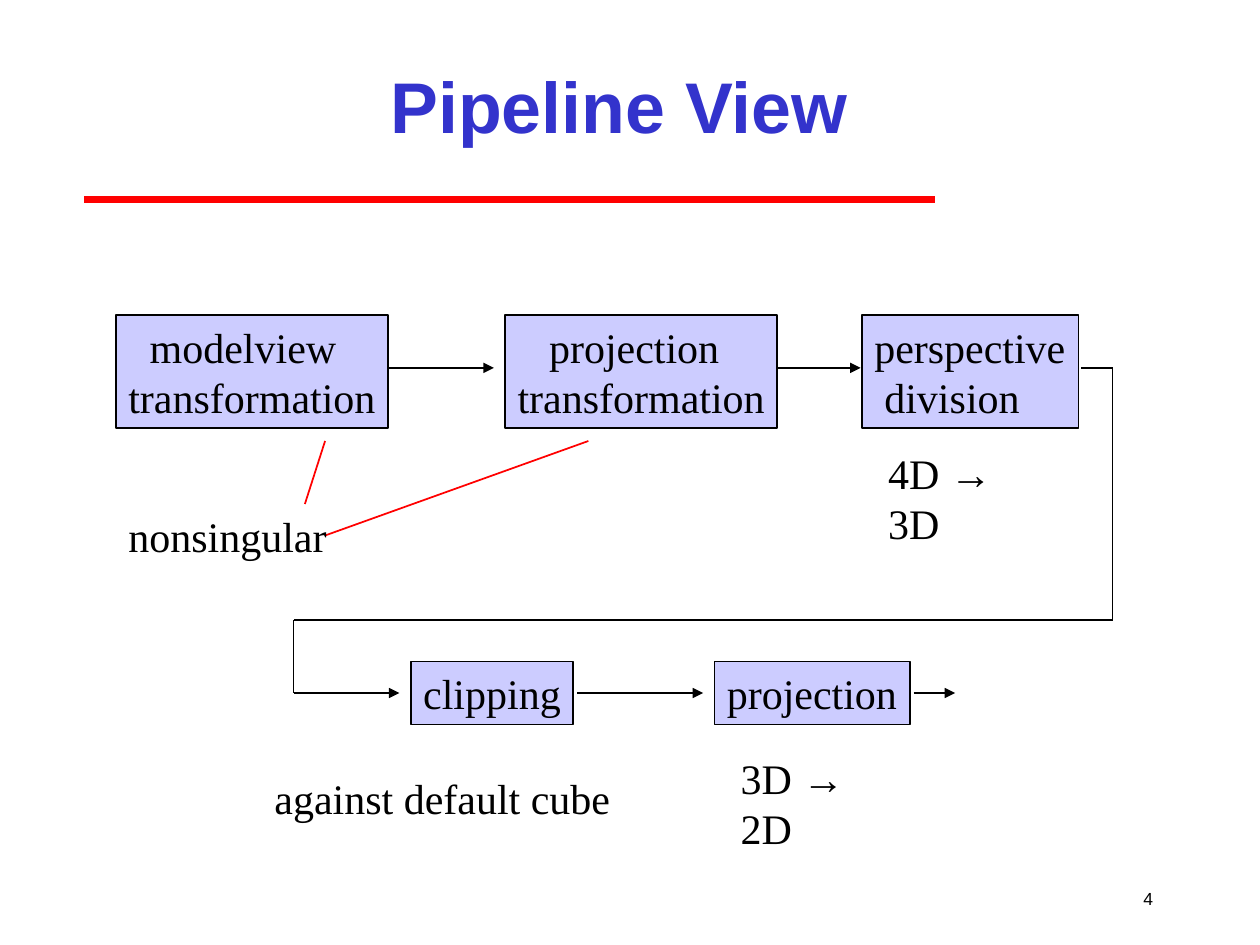
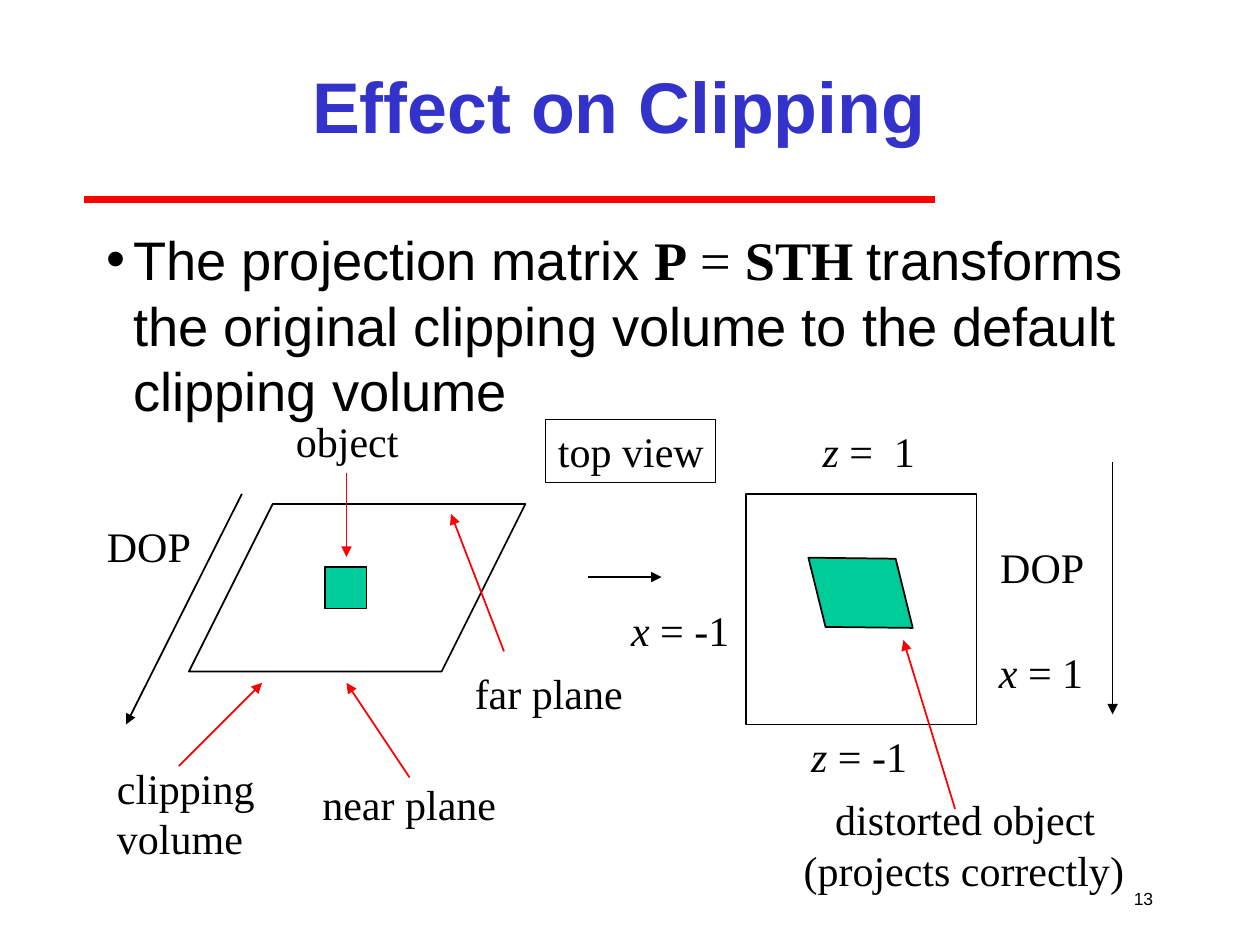
from lxml import etree
from pptx import Presentation
from pptx.dml.color import RGBColor
from pptx.enum import shapes, text
from pptx.oxml.ns import qn
from pptx.util import Inches, Pt

BLACK = RGBColor(0x00, 0x00, 0x00)
RED = RGBColor(0xFF, 0x00, 0x00)
TITLE_BLUE = RGBColor(0x33, 0x33, 0xCC)
STAGE_LILAC = RGBColor(0xCC, 0xCC, 0xFF)
OBJECT_GREEN = RGBColor(0x00, 0xCC, 0x99)
SANS = "Arial"
SERIF = "Times New Roman"
RECTANGLE = shapes.MSO_SHAPE.RECTANGLE
PARALLELOGRAM = shapes.MSO_SHAPE.PARALLELOGRAM
LINE_HEIGHT = 0.4
TEXT_PADDING = 0.1


class Deck:
    """Holds the shared style and the slide being drawn."""

    def __init__(self):
        self.presentation = Presentation()
        self.presentation.slide_width = Inches(10)
        self.presentation.slide_height = Inches(7.5)
        self.slide = None

    def new_slide(self, title, number):
        self.slide = self.presentation.slides.add_slide(self.presentation.slide_layouts[6])
        self.line((0.67, 1.58), (7.42, 1.58), RED, width=4)
        self.framed_text(8.83, 6.92, 0.42, 0.42, number, 10, text.PP_ALIGN.RIGHT)
        heading = self.framed_text(1.5, 0.25, 6.83, 1.17, title, 41, text.PP_ALIGN.CENTER)
        heading.font.bold = True
        heading.font.color.rgb = TITLE_BLUE

    def style_run(self, run, size=24, font=SERIF, bold=False, italic=False):
        run.font.size = Pt(size)
        run.font.name = font
        run.font.bold = bold
        run.font.italic = italic
        run.font.color.rgb = BLACK

    def framed_text(self, left, top, width, height, words, size, alignment):
        """Add one sans line centred vertically in its frame; return its run."""
        frame = self.text_box(left, top, width, height)
        frame.vertical_anchor = text.MSO_ANCHOR.MIDDLE
        frame.text = words
        paragraph = frame.paragraphs[0]
        paragraph.alignment = alignment
        self.style_run(paragraph.runs[0], size, SANS)
        return paragraph.runs[0]

    def text_box(self, left, top, width, height):
        box = self.slide.shapes.add_textbox(Inches(left), Inches(top), Inches(width), Inches(height))
        box.text_frame.word_wrap = True
        return box.text_frame

    def keep_lines_whole(self, frame):
        """Give up the right margin so that a tight frame breaks no line."""
        frame.word_wrap = False
        frame.margin_right = 0

    def write_lines(self, frame, lines, indents=()):
        """Write left-aligned serif lines, each with an optional indent in inches."""
        self.keep_lines_whole(frame)
        frame.vertical_anchor = text.MSO_ANCHOR.TOP
        frame.text = "\n".join(lines)
        for paragraph in frame.paragraphs:
            paragraph.alignment = text.PP_ALIGN.LEFT
            self.style_run(paragraph.runs[0])
        for paragraph, indent in zip(frame.paragraphs, indents):
            paragraph._p.get_or_add_pPr().set("marL", str(Inches(indent)))

    def label(self, left, top, width, *lines, indents=()):
        frame = self.text_box(left, top, width, TEXT_PADDING + LINE_HEIGHT * len(lines))
        self.write_lines(frame, lines, indents)

    def rich_label(self, left, top, width, *parts):
        """Add a label from (words, run style) parts."""
        frame = self.text_box(left, top, width, TEXT_PADDING + LINE_HEIGHT)
        self.add_runs(frame.paragraphs[0], parts)
        return frame

    def add_runs(self, paragraph, parts):
        for words, style in parts:
            run = paragraph.add_run()
            run.text = words
            self.style_run(run, **style)

    def equation(self, left, top, width, variable, value):
        frame = self.rich_label(left, top, width, (variable, {"italic": True}), (value, {}))
        self.keep_lines_whole(frame)

    def dimension_change(self, left, top, before, after):
        self.rich_label(left, top, 1.3, (f"{before} ", {}), ("→", {"font": SANS}), (f" {after}", {}))

    def bullet(self, left, top, width, height, parts):
        paragraph = self.text_box(left, top, width, height).paragraphs[0]
        paragraph.space_before = Pt(7.7)
        properties = paragraph._p.get_or_add_pPr()
        properties.set("marL", str(Inches(0.21)))
        properties.set("indent", str(-Inches(0.21)))
        etree.SubElement(properties, qn("a:buFont"), typeface=SANS)
        etree.SubElement(properties, qn("a:buChar"), char="•")
        self.add_runs(paragraph, parts)

    def outline(self, kind, left, top, width, height, fill=None, skew=None, rotation=0):
        shape = self.slide.shapes.add_shape(
            kind, Inches(left), Inches(top), Inches(width), Inches(height))
        shape.shadow.inherit = False
        shape.line.color.rgb = BLACK
        shape.line.width = Pt(1)
        shape.rotation = rotation
        if fill is None:
            shape.fill.background()
        else:
            shape.fill.solid()
            shape.fill.fore_color.rgb = fill
        if skew is not None:
            shape.adjustments[0] = skew
        return shape

    def text_rectangle(self, left, top, width, *lines, fill=None, indents=()):
        height = TEXT_PADDING + LINE_HEIGHT * len(lines)
        shape = self.outline(RECTANGLE, left, top, width, height, fill)
        self.write_lines(shape.text_frame, lines, indents)

    def line(self, start, end, color=BLACK, width=1, arrow=False):
        connector = self.slide.shapes.add_connector(
            shapes.MSO_CONNECTOR.STRAIGHT, *(Inches(value) for value in (*start, *end)))
        connector.line.color.rgb = color
        connector.line.width = Pt(width)
        if arrow:
            etree.SubElement(connector.line._get_or_add_ln(), qn("a:tailEnd"), type="triangle")
        etree.SubElement(connector._element.spPr, qn("a:effectLst"))

    def arrow(self, start, end, color=BLACK):
        self.line(start, end, color, arrow=True)

    def path_arrow(self, points):
        """Draw joined segments with an arrowhead on the last."""
        segments = list(zip(points, points[1:]))
        for start, end in segments[:-1]:
            self.line(start, end)
        self.arrow(*segments[-1])


def draw_pipeline(deck):
    deck.new_slide("Pipeline View", "4")
    stages = [
        (0.92, 2.5, 2.16, ("modelview", "transformation"), (0.17, 0)),
        (4.01, 2.5, 2.16, ("projection", "transformation"), (0.25, 0)),
        (6.84, 2.5, 1.72, ("perspective", "division"), (0, 0.08)),
        (3.26, 5.25, 1.29, ("clipping",), ()),
        (5.67, 5.25, 1.55, ("projection",), ()),
    ]
    for left, top, width, lines, indents in stages:
        deck.text_rectangle(left, top, width, *lines, fill=STAGE_LILAC, indents=indents)

    upper_row, lower_row = 2.92, 5.5
    for y, start, end in [(upper_row, 3.08, 3.92), (upper_row, 6.17, 6.83),
                          (lower_row, 4.58, 5.58), (lower_row, 7.25, 7.58)]:
        deck.arrow((start, y), (end, y))
    deck.path_arrow([(8.58, upper_row), (8.83, upper_row), (8.83, 4.92),
                     (2.33, 4.92), (2.33, lower_row), (3.17, lower_row)])

    deck.line((4.67, 3.5), (2.58, 4.25), RED)
    deck.line((2.58, 3.5), (2.42, 4), RED)
    deck.label(0.92, 4, 1.77, "nonsingular")
    deck.label(2.08, 6.08, 2.86, "against default cube")
    deck.dimension_change(6.95, 3.5, "4D", "3D")
    deck.dimension_change(5.78, 5.92, "3D", "2D")


def draw_clipping(deck):
    deck.new_slide("Effect on Clipping", "13")
    plain = {"size": 31, "font": SANS}
    symbol = {"size": 31, "bold": True}
    deck.bullet(0.75, 1.75, 8.5, 5.17, [
        ("The projection matrix ", plain),
        ("P", symbol),
        (" = ", {"size": 31}),
        ("STH ", symbol),
        ("transforms the original clipping volume to the default clipping volume", plain),
    ])

    deck.outline(PARALLELOGRAM, 1.5, 4, 2.67, 1.33, skew=0.5)
    deck.outline(RECTANGLE, 5.92, 3.92, 1.83, 1.83)
    deck.outline(RECTANGLE, 2.58, 4.5, 0.33, 0.33, OBJECT_GREEN)
    deck.outline(PARALLELOGRAM, 6.46, 4.37, 0.74, 0.67, OBJECT_GREEN, skew=0.26, rotation=256.1)
    deck.text_rectangle(4.33, 3.33, 1.35, "top view")

    for start, end in [((4.67, 4.58), (5.25, 4.58)),
                       ((1.92, 3.92), (1, 5.75)),
                       ((8.83, 3.67), (8.83, 5.67))]:
        deck.arrow(start, end)
    for start, end in [((3.25, 6.17), (2.75, 5.42)),
                       ((4, 5.17), (3.58, 4.08)),
                       ((2.75, 3.75), (2.75, 4.42)),
                       ((1.42, 6.08), (2.08, 5.42)),
                       ((7.58, 6.42), (7.17, 5.08))]:
        deck.arrow(start, end, RED)

    for left, top, width, *lines in [
        (0.75, 4.08, 0.86, "DOP"),
        (7.84, 4.25, 0.86, "DOP"),
        (2.46, 6.13, 1.58, "near plane"),
        (3.67, 5.25, 1.37, "far plane"),
        (2.25, 3.25, 1.01, "object"),
        (0.83, 6, 1.29, "clipping", "volume"),
    ]:
        deck.label(left, top, width, *lines)
    deck.label(6.28, 6.25, 2.74, "distorted object", "(projects correctly)", indents=(0.25, 0))

    for left, top, width, variable, value in [
        (6.34, 5.75, 0.96, "z", " = -1"),
        (6.43, 3.33, 0.93, "z", " =  1"),
        (4.91, 4.75, 0.98, "x", " = -1"),
        (7.83, 5.08, 0.87, "x", " = 1"),
    ]:
        deck.equation(left, top, width, variable, value)


def main():
    deck = Deck()
    draw_pipeline(deck)
    draw_clipping(deck)
    deck.presentation.save("out.pptx")


if __name__ == "__main__":
    main()
